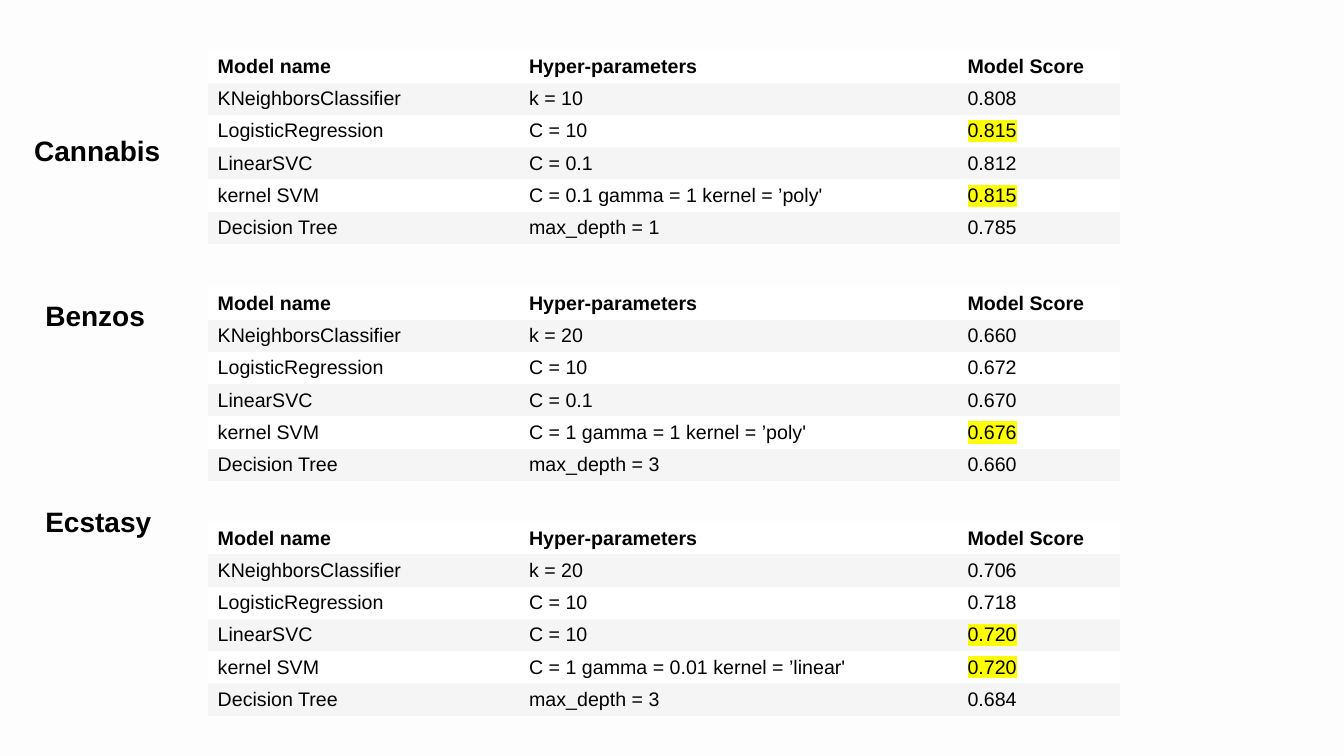
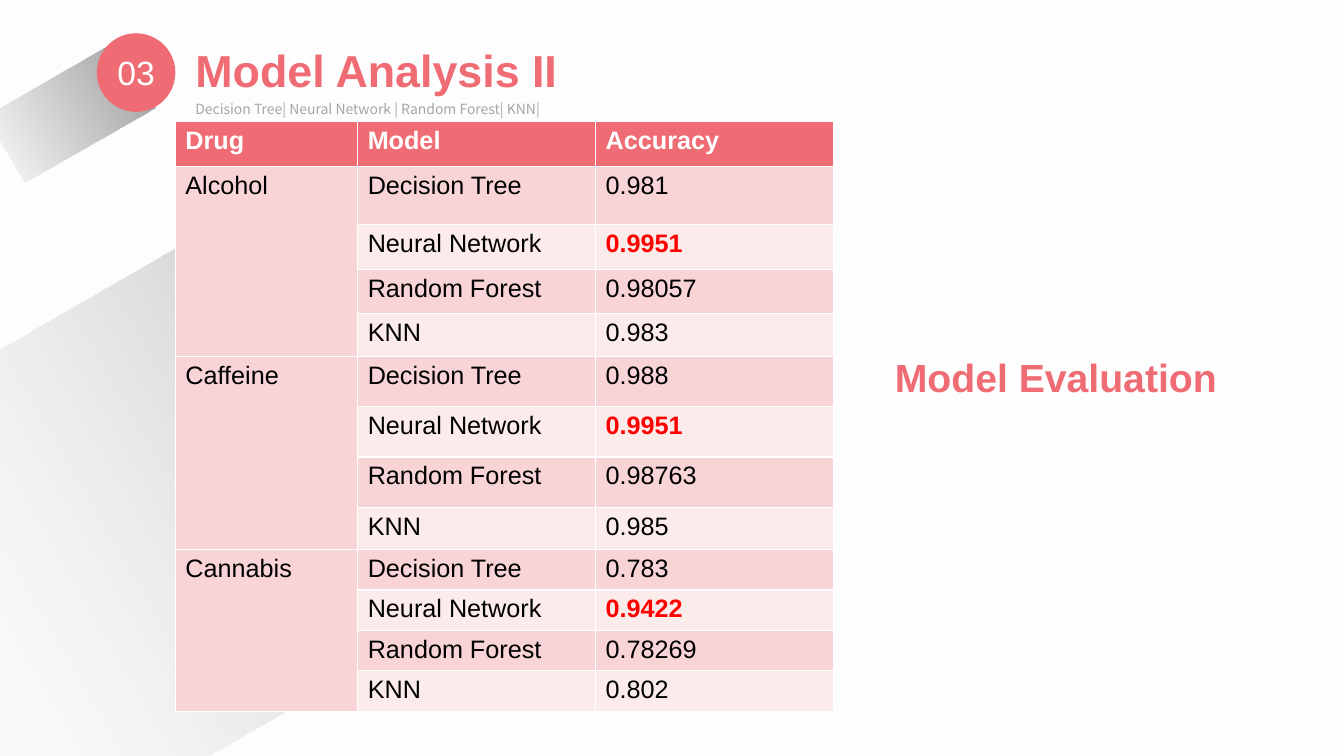
from dataclasses import dataclass
from math import cos, radians, sin

from lxml.etree import SubElement
from pptx import Presentation
from pptx.dml.color import RGBColor
from pptx.enum.shapes import MSO_SHAPE
from pptx.enum.text import MSO_ANCHOR, PP_ALIGN
from pptx.oxml.ns import qn
from pptx.util import Inches, Pt


@dataclass(frozen=True)
class Theme:
    background: str = "FDFDFD"
    accent: str = "EF6C74"
    dark: str = "000000"
    light: str = "FFFFFF"
    muted: str = "A6A6A6"
    best: str = "FF0000"
    highlight: str = "FFFF00"
    gray_bands: tuple = ("FFFFFF", "F5F5F5")
    pink_bands: tuple = ("FCEBEB", "F9D4D6")
    font: str = "Arial"
    subtitle_font: str = "Noto Sans CJK SC"
    title_size: int = 32
    heading_size: int = 28
    number_size: int = 24
    label_size: int = 20
    table_size: int = 18
    small_table_size: int = 14
    subtitle_size: int = 10


THEME = Theme()
WIDTH, HEIGHT = Inches(13.333), Inches(7.5)
PLAIN_TABLE_STYLE = "{2D5ABB26-0587-4C30-8999-92F81FD0307C}"

SCORE_HEADER = ("Model name", "Hyper-parameters", "Model Score")
SCORE_MODELS = ("KNeighborsClassifier", "LogisticRegression", "LinearSVC", "kernel SVM", "Decision Tree")
SCORE_TABLES = [
    {"drug": "Cannabis", "label": (1.8, 17.07), "top": 6.67,
     "settings": ("k = 10", "C = 10", "C = 0.1", "C = 0.1 gamma = 1 kernel = ’poly'", "max_depth = 1"),
     "scores": ("0.808", "0.815", "0.812", "0.815", "0.785")},
    {"drug": "Benzos", "label": (2.63, 38.8), "top": 38,
     "settings": ("k = 20", "C = 10", "C = 0.1", "C = 1 gamma = 1 kernel = ’poly'", "max_depth = 3"),
     "scores": ("0.660", "0.672", "0.670", "0.676", "0.660")},
    {"drug": "Ecstasy", "label": (2.63, 66.13), "top": 69.07,
     "settings": ("k = 20", "C = 10", "C = 10", "C = 1 gamma = 0.01 kernel = ’linear'", "max_depth = 3"),
     "scores": ("0.706", "0.718", "0.720", "0.720", "0.684")},
]
SCORE_COLUMNS = (23.17, 32.62, 12.07)
SCORE_ROW = 4.27

ACCURACY_HEADER = ("Drug", "Model", "Accuracy")
ACCURACY_MODELS = ("Decision Tree", "Neural Network", "Random Forest", "KNN")
ACCURACIES = {
    "Alcohol": ("0.981", "0.9951", "0.98057", "0.983"),
    "Caffeine": ("0.988", "0.9951", "0.98763", "0.985"),
    "Cannabis": ("0.783", "0.9422", "0.78269", "0.802"),
}
ACCURACY_COLUMNS = (13.57, 17.7, 17.7)
ACCURACY_ROWS = (6, 7.6, 6, 5.87, 5.6, 6.67, 6.67, 6.67, 5.6) + (5.33,) * 4

SHADOWS = [
    {"center": (8.21, 72.67), "colors": (THEME.light, THEME.dark), "opacity": 30,
     "points": [(16.65, 29.2), (20.4, 60.4), (34.2, 80.93), (-0.83, 116.8), (-0.6, 46.93)]},
    {"center": (5.21, 14.8), "colors": (THEME.dark, THEME.dark), "opacity": 40,
     "points": [(11.55, 14.27), (8.55, 5.47), (-1.05, 15.33), (1.88, 24.13)]},
]
SHADOW_TILT = 30


def across(share):
    return round(WIDTH * share / 100)


def down(share):
    return round(HEIGHT * share / 100)


def area(left, top, width, height):
    return across(left), down(top), across(width), down(height)


def style(paragraph, size, color, bold=False, font=THEME.font):
    paragraph.font.size = Pt(size)
    paragraph.font.name = font
    paragraph.font.bold = bold
    paragraph.font.color.rgb = RGBColor.from_string(color)


def paint(target, color):
    target.fill.solid()
    target.fill.fore_color.rgb = RGBColor.from_string(color)


def add_text(slide, box, text, size, color, bold=True, font=THEME.font):
    frame = slide.shapes.add_textbox(*area(*box)).text_frame
    frame.word_wrap = True
    paragraph = frame.paragraphs[0]
    paragraph.text = text
    style(paragraph, size, color, bold, font)
    return paragraph


def add_slide(presentation):
    slide = presentation.slides.add_slide(presentation.slide_layouts[6])
    paint(slide.background, THEME.background)
    return slide


def add_grid(slide, left, top, columns, rows, content):
    box = area(left, top, sum(columns), sum(rows))
    table = slide.shapes.add_table(len(rows), len(columns), *box).table
    table.horz_banding = False
    for column, share in zip(table.columns, columns):
        column.width = across(share)
    for row, share, values in zip(table.rows, rows, content):
        row.height = down(share)
        for cell, value in zip(row.cells, values):
            cell.text = value
    return table


def add_score_table(slide, data):
    add_text(slide, (*data["label"], 11, 5.87), data["drug"], THEME.label_size, THEME.dark)
    content = [SCORE_HEADER, *zip(SCORE_MODELS, data["settings"], data["scores"])]
    table = add_grid(slide, 15.45, data["top"], SCORE_COLUMNS, [SCORE_ROW] * len(content), content)
    table.first_row = False
    table._tbl.tblPr.find(qn("a:tableStyleId")).text = PLAIN_TABLE_STYLE
    best = max(data["scores"], key=float)
    for index, row in enumerate(table.rows):
        for cell in row.cells:
            paint(cell, THEME.gray_bands[index % 2])
            cell.vertical_anchor = MSO_ANCHOR.MIDDLE
            cell.margin_top = cell.margin_bottom = Inches(0.04)
            paragraph = cell.text_frame.paragraphs[0]
            style(paragraph, THEME.small_table_size, THEME.dark, index == 0)
            if cell.text == best:
                properties = paragraph.runs[0]._r.get_or_add_rPr()
                highlight = SubElement(properties, qn("a:highlight"))
                SubElement(highlight, qn("a:srgbClr")).set("val", THEME.highlight)


def add_accuracy_table(slide):
    content = [ACCURACY_HEADER]
    best_rows = set()
    for drug, values in ACCURACIES.items():
        best_rows.add(len(content) + values.index(max(values, key=float)))
        for index, (model, value) in enumerate(zip(ACCURACY_MODELS, values)):
            content.append(("" if index else drug, model, value))
    table = add_grid(slide, 13.05, 16.05, ACCURACY_COLUMNS, ACCURACY_ROWS, content)
    for index, row in enumerate(table.rows):
        for position, cell in enumerate(row.cells):
            header = index == 0
            best = index in best_rows and position == 2
            band = 1 if position == 0 else index % 2
            paint(cell, THEME.accent if header else THEME.pink_bands[band])
            color = THEME.light if header else THEME.best if best else THEME.dark
            style(cell.text_frame.paragraphs[0], THEME.table_size, color, header or best)
    group = len(ACCURACY_MODELS)
    for first in range(1, len(content), group):
        table.cell(first, 0).merge(table.cell(first + group - 1, 0))


def add_shadow(slide, center, colors, opacity, points):
    middle_x, middle_y = across(center[0]), down(center[1])
    cosine, sine = cos(radians(SHADOW_TILT)), sin(radians(SHADOW_TILT))
    level = []
    for x, y in points:
        offset_x, offset_y = across(x) - middle_x, down(y) - middle_y
        level.append((round(middle_x + offset_x * cosine - offset_y * sine),
                      round(middle_y + offset_x * sine + offset_y * cosine)))
    builder = slide.shapes.build_freeform(*level[0])
    builder.add_line_segments(level[1:], close=True)
    shape = builder.convert_to_shape()
    shape.rotation = -SHADOW_TILT
    shape.shadow.inherit = False
    shape.line.fill.background()
    shape.fill.gradient()
    shape.fill.gradient_angle = 0
    for stop, position, color in zip(shape.fill.gradient_stops, (0, 1), colors):
        stop.position = position
        stop.color.rgb = RGBColor.from_string(color)
    gradient = shape._element.spPr.find(qn("a:gradFill"))
    for color, share in zip(gradient.iter(qn("a:srgbClr")), (0, opacity)):
        SubElement(color, qn("a:alpha")).set("val", str(share * 1000))


def add_section_number(slide, number):
    circle = slide.shapes.add_shape(MSO_SHAPE.OVAL, *area(7.2, 4.4, 5.85, 10.4))
    circle.shadow.inherit = False
    circle.line.fill.background()
    paint(circle, THEME.accent)
    frame = circle.text_frame
    frame.margin_left = frame.margin_right = 0
    frame.vertical_anchor = MSO_ANCHOR.MIDDLE
    paragraph = frame.paragraphs[0]
    paragraph.text = number
    paragraph.alignment = PP_ALIGN.CENTER
    style(paragraph, THEME.number_size, THEME.light)


def build_scores(presentation):
    slide = add_slide(presentation)
    for data in SCORE_TABLES:
        add_score_table(slide, data)


def build_evaluation(presentation):
    slide = add_slide(presentation)
    for shadow in SHADOWS:
        add_shadow(slide, **shadow)
    add_section_number(slide, "03")
    add_text(slide, (13.8, 4.93, 29.55, 8.53), "Model Analysis II", THEME.title_size, THEME.accent)
    subtitle = add_text(slide, (13.8, 12.27, 45.68, 3.73), "Decision Tree| Neural Network | Random Forest| KNN|",
                        THEME.subtitle_size, THEME.muted, False, THEME.subtitle_font)
    subtitle.line_spacing = 1.14
    add_text(slide, (65.85, 46.13, 27, 7.6), "Model Evaluation", THEME.heading_size, THEME.accent)
    add_accuracy_table(slide)


def main():
    presentation = Presentation()
    presentation.slide_width, presentation.slide_height = WIDTH, HEIGHT
    build_scores(presentation)
    build_evaluation(presentation)
    presentation.save("out.pptx")


if __name__ == "__main__":
    main()
